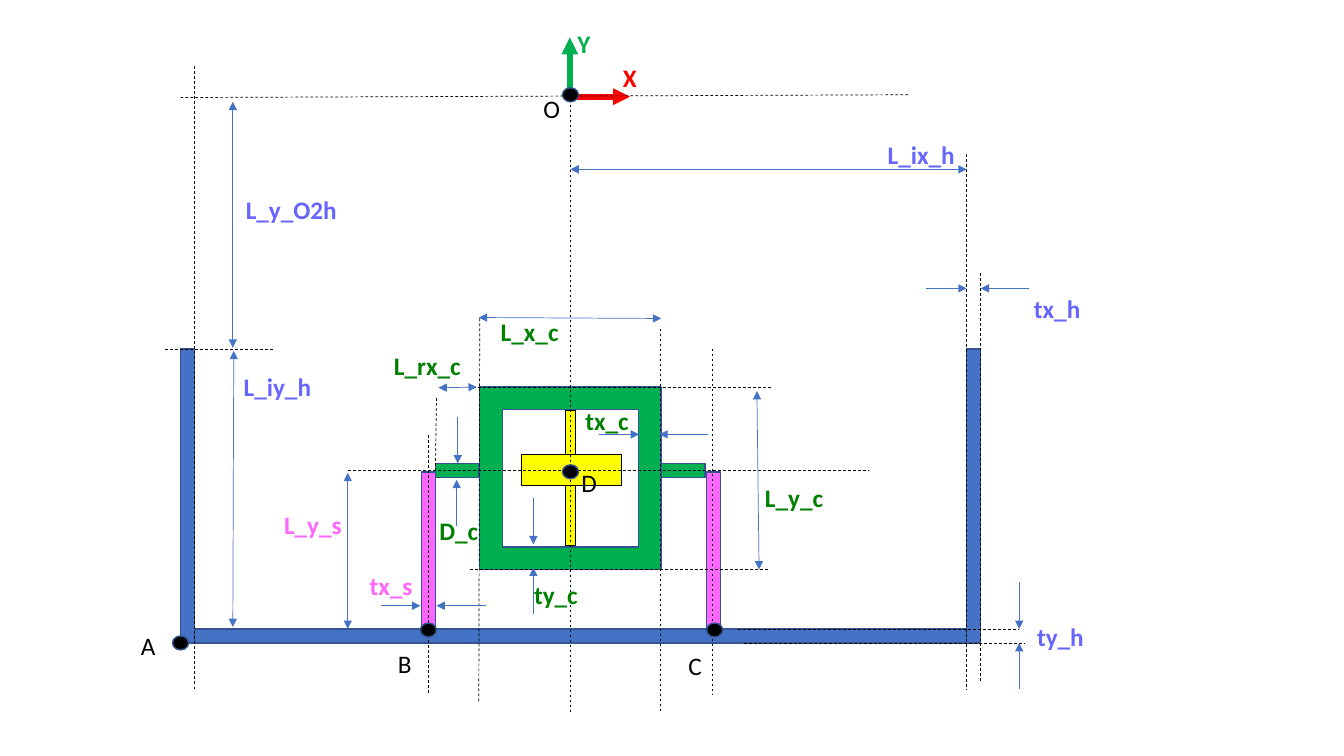
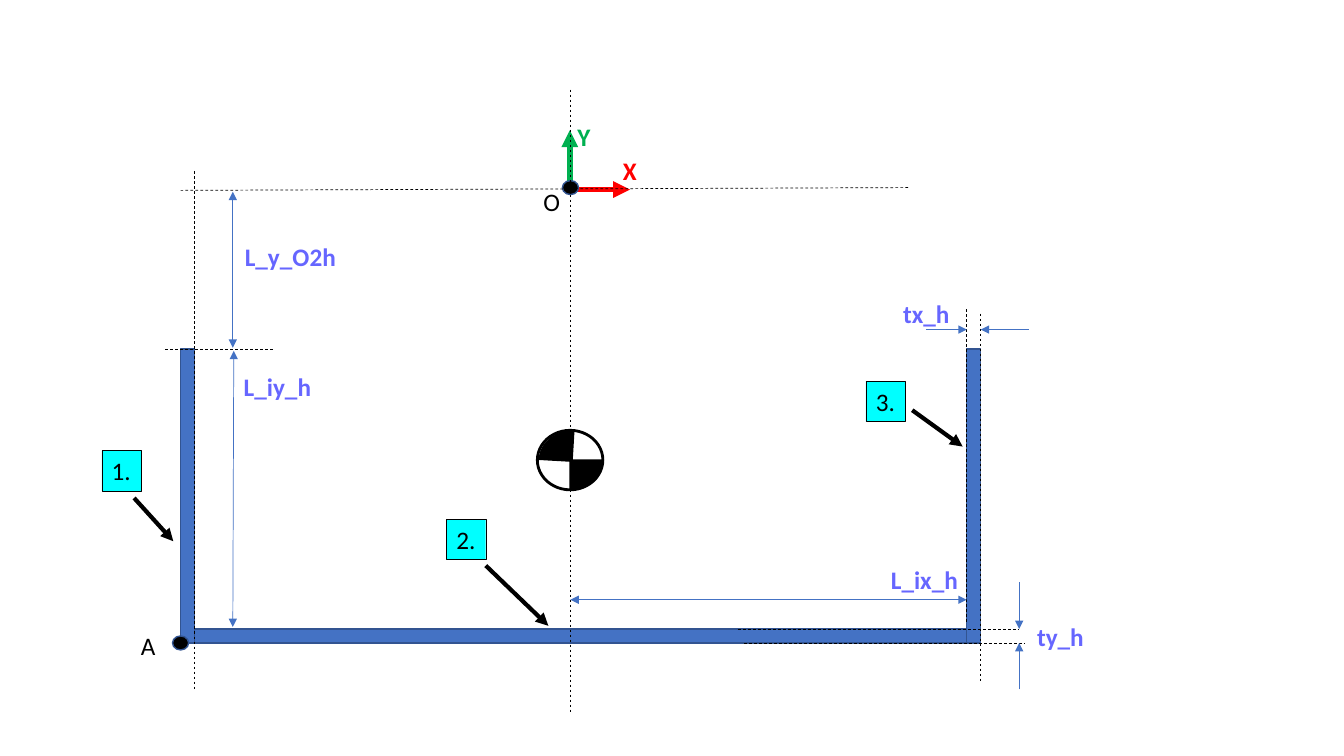
from lxml import etree
from pptx import Presentation
from pptx.dml.color import RGBColor
from pptx.enum.dml import MSO_LINE
from pptx.enum.shapes import MSO_CONNECTOR, MSO_SHAPE
from pptx.enum.text import MSO_AUTO_SIZE
from pptx.oxml.ns import qn
from pptx.util import Pt

STRAIGHT = MSO_CONNECTOR.STRAIGHT
DASH = MSO_LINE.DASH
RECTANGLE = MSO_SHAPE.RECTANGLE
OVAL = MSO_SHAPE.OVAL
FRAME = MSO_SHAPE.FRAME
PIE = MSO_SHAPE.PIE
FIT_TEXT = MSO_AUTO_SIZE.SHAPE_TO_FIT_TEXT

BLACK = RGBColor(0x00, 0x00, 0x00)
BLUE = RGBColor(0x44, 0x72, 0xC4)
OUTLINE = RGBColor(0x32, 0x54, 0x91)
GREEN = RGBColor(0x00, 0xB0, 0x50)
DARK_GREEN = RGBColor(0x00, 0x80, 0x00)
RED = RGBColor(0xFF, 0x00, 0x00)
PINK = RGBColor(0xFF, 0x66, 0xFF)
YELLOW = RGBColor(0xFF, 0xFF, 0x00)
VIOLET = RGBColor(0x66, 0x66, 0xFF)
CYAN = RGBColor(0x00, 0xFF, 0xFF)

FONT = "Calibri"
TEXT_SIZE = 18
LABEL_HEIGHT = 29
WALL = 10
DOT_WIDTH, DOT_HEIGHT = 11.5, 10
CENTER_X = 407.5
INNER_LEFT, INNER_RIGHT, OUTER_RIGHT = 139, 690.5, 700.5
WALL_TOP, FLOOR_TOP, FLOOR_BOTTOM = 249.25, 449.25, 459.25


def add_box(slide, left, top, width, height=LABEL_HEIGHT, text="", kind=None,
            fill=None, line=None, line_width=1, color=BLACK, bold=False):
    box = [Pt(value) for value in (left, top, width, height)]
    if kind is None:
        shape = slide.shapes.add_textbox(*box)
        shape.text_frame.word_wrap = False
        shape.text_frame.auto_size = FIT_TEXT
        run = shape.text_frame.paragraphs[0].add_run()
        run.text = text
        run.font.name = FONT
        run.font.size = Pt(TEXT_SIZE)
        run.font.bold = bold
        run.font.color.rgb = color
    else:
        shape = slide.shapes.add_shape(kind, *box)
        shape.shadow.inherit = False
    if fill is None:
        shape.fill.background()
    else:
        shape.fill.solid()
        shape.fill.fore_color.rgb = fill
    if line is None:
        shape.line.fill.background()
    else:
        shape.line.color.rgb = line
        shape.line.width = Pt(line_width)
    return shape


def add_line(slide, points, color=BLUE, width=0.5, dashed=False, ends=()):
    connector = slide.shapes.add_connector(STRAIGHT, *[Pt(value) for value in points])
    connector.line.color.rgb = color
    connector.line.width = Pt(width)
    if dashed:
        connector.line.dash_style = DASH
    outline = connector.line._get_or_add_ln()
    for end in ends:
        etree.SubElement(outline, qn(f"a:{end}End"), type="triangle")
    etree.SubElement(connector._element.spPr, qn("a:effectLst"))


presentation = Presentation()
presentation.slide_width = Pt(960)
presentation.slide_height = Pt(540)
blank_layout = presentation.slide_layouts[6]
assembly_slide = presentation.slides.add_slide(blank_layout)
holder_slide = presentation.slides.add_slide(blank_layout)

for left, top, width, height, fill, line, line_width in (
    (404, 293, 7, 96.5, YELLOW, BLACK, 0.25),
    (504.5, 337, WALL, 112, PINK, OUTLINE, 1),
    (301, 337, WALL, 112, PINK, OUTLINE, 1),
    (472.5, 331, 31, WALL, GREEN, OUTLINE, 1),
    (311, 331, 31, WALL, GREEN, OUTLINE, 1),
    (372, 324.5, 71.5, 22, YELLOW, BLACK, 0.25),
):
    add_box(assembly_slide, left, top, width, height, kind=RECTANGLE,
            fill=fill, line=line, line_width=line_width)
add_box(assembly_slide, 342.7, 276.5, 129.6, 130.3, kind=FRAME, fill=GREEN, line=OUTLINE)

layouts = (
    dict(slide=assembly_slide, origin_y=67.7, left_top=47.5, inner=(110, 492.5),
         outer_top=195, drop_top=72.7, drop_label=(168.5, 135.4),
         half_y=121, half_label=(627, 95.8), wall_y=206, wall_label=(731.5, 206)),
    dict(slide=holder_slide, origin_y=134, left_top=122.5, inner=(221, 445.7),
         outer_top=224, drop_top=137, drop_label=(167.8, 168.5),
         half_y=428.4, half_label=(629.3, 399.6), wall_y=235.4, wall_label=(638, 209.5)),
)
for layout in layouts:
    slide, origin_y = layout["slide"], layout["origin_y"]
    wall_y = layout["wall_y"]
    wall_height = FLOOR_BOTTOM - WALL_TOP
    for left, top, width, height in (
        (INNER_LEFT - WALL, WALL_TOP, WALL, wall_height),
        (INNER_LEFT, FLOOR_TOP, INNER_RIGHT - INNER_LEFT, WALL),
        (INNER_RIGHT, WALL_TOP, WALL, wall_height),
    ):
        add_box(slide, left, top, width, height, kind=RECTANGLE, fill=BLUE, line=OUTLINE)

    axis_y = origin_y + 1.4
    add_line(slide, (407, axis_y, 450, axis_y), RED, 4, ends=["tail"])
    add_line(slide, (407, axis_y, 407, axis_y - 42.3), GREEN, 4, ends=["tail"])
    for center_x, center_y in ((CENTER_X, origin_y), (129, FLOOR_BOTTOM)):
        add_box(slide, center_x - DOT_WIDTH / 2, center_y - DOT_HEIGHT / 2,
                DOT_WIDTH, DOT_HEIGHT, kind=OVAL, fill=BLACK, line=OUTLINE)

    inner_top, inner_bottom = layout["inner"]
    for points in (
        (INNER_LEFT, layout["left_top"], INNER_LEFT, 492.5),
        (INNER_RIGHT, inner_top, INNER_RIGHT, inner_bottom),
        (OUTER_RIGHT, layout["outer_top"], OUTER_RIGHT, 486.7),
        (CENTER_X, 64, CENTER_X, 509),
        (648.7, origin_y, 129, origin_y + 2),
        (531.4, FLOOR_BOTTOM, 731.5, FLOOR_BOTTOM),
        (527, FLOOR_TOP, 728, FLOOR_TOP),
        (118, WALL_TOP, 196, WALL_TOP),
    ):
        add_line(slide, points, BLACK, dashed=True)
    for points in (
        (167, 250.6, 166.3, 447.8),
        (166.3, layout["drop_top"], 166.3, 248.4),
        (CENTER_X, layout["half_y"], INNER_RIGHT, layout["half_y"]),
    ):
        add_line(slide, points, ends=["head", "tail"])
    for points in (
        (661.5, wall_y, INNER_RIGHT, wall_y),
        (735, wall_y, OUTER_RIGHT, wall_y),
        (728, 416, 728, FLOOR_TOP),
        (728, 492.5, 728, FLOOR_BOTTOM),
    ):
        add_line(slide, points, ends=["tail"])
    for text, left, top, width, color in (
        ("X", 437.8, origin_y - 26.7, 24.5, RED),
        ("Y", 405.4, origin_y - 51, 24.5, GREEN),
        ("L_ix_h", *layout["half_label"], 62.6, VIOLET),
        ("tx_h", *layout["wall_label"], 48.2, VIOLET),
        ("L_iy_h", 167, 262, 63.4, VIOLET),
        ("ty_h", 733.7, 440, 48.2, VIOLET),
        ("L_y_O2h", *layout["drop_label"], 79.2, VIOLET),
    ):
        add_box(slide, left, top, width, text=text, color=color, bold=True)
    add_box(slide, 381, origin_y - 4.3, 26.6, text="O")
    add_box(slide, 93.6, 447, 25.2, text="A")

for points in (
    (306, 311, 306, 496),
    (509, 249, 509, 496),
    (342.7, 227.5, 342, 501.8),
    (471.6, 234.7, 471.6, 509),
    (335.5, 406.8, 548.6, 406.8),
    (337.7, 276.5, 550.8, 276.5),
    (311.8, 284.4, 311, 337),
    (248.4, 336.2, 620, 336.2),
):
    add_line(assembly_slide, points, BLACK, dashed=True)
for points in (
    (342, 226.8, 472.3, 227.5),
    (540.7, 279.4, 542.2, 406.8),
    (248.4, 337.7, 248.4, FLOOR_TOP),
    (313.2, 277, 340.6, 276.5),
):
    add_line(assembly_slide, points, ends=["head", "tail"])
for points in (
    (327, 298, 327, 331),
    (326.2, 375.8, 326.2, 342.7),
    (272.2, 432.7, 300.2, 432.7),
    (347, 432.7, 311.8, 432.7),
    (381, 355.7, 381, 388.8),
    (381, 438.5, 381, 405.4),
    (427.7, 310.3, 456.5, 310.3),
    (505.4, 310.3, 471, 310.3),
):
    add_line(assembly_slide, points, ends=["tail"])
for center_x, center_y, text, left, top in (
    (306, 450, "B", 277.2, 459.4),
    (510.5, 450, "C", 484.6, 460.8),
    (CENTER_X, 337, "D", 408.2, 330.5),
):
    add_box(assembly_slide, center_x - DOT_WIDTH / 2, center_y - DOT_HEIGHT / 2,
            DOT_WIDTH, DOT_HEIGHT, kind=OVAL, fill=BLACK, line=OUTLINE)
    add_box(assembly_slide, left, top, 25.2, text=text)
for text, left, top, width, color in (
    ("L_x_c", 350.6, 222.5, 56.2, DARK_GREEN),
    ("L_y_c", 539.3, 341.3, 56.9, DARK_GREEN),
    ("L_y_s", 195.8, 360, 56.2, PINK),
    ("D_c", 306.7, 364.3, 42.5, DARK_GREEN),
    ("L_rx_c", 274.3, 247, 62, DARK_GREEN),
    ("tx_s", 257, 404, 45.4, PINK),
    ("ty_c", 374.4, 410.4, 46, DARK_GREEN),
    ("tx_c", 411, 285.8, 46, DARK_GREEN),
):
    add_box(assembly_slide, left, top, width, text=text, color=color, bold=True)

for text, left, top, arrow in (
    ("1.", 72.7, 321.8, (95.8, 355.7, 123.8, 386.6)),
    ("3.", 618.5, 272.2, (651.6, 293, 687.6, 319)),
    ("2.", 319, 370.8, (347, 404, 391.7, 447)),
):
    add_box(holder_slide, left, top, 28, text=text, fill=CYAN, line=BLACK, line_width=0.25)
    add_line(holder_slide, arrow, BLACK, 3, ends=["tail"])

for left, top, rotation in ((385.2, 308.2, 3.3), (383.8, 307.4, 180)):
    quarter = add_box(holder_slide, left, top, 46.8, 42.5, kind=PIE, fill=BLACK, line=BLACK)
    quarter.adjustments[0] = 108
    quarter.adjustments[1] = 162
    quarter.rotation = rotation
add_box(holder_slide, 383.8, 307.4, 46.8, 42.5, kind=OVAL, line=BLACK, line_width=2)

presentation.save("out.pptx")
